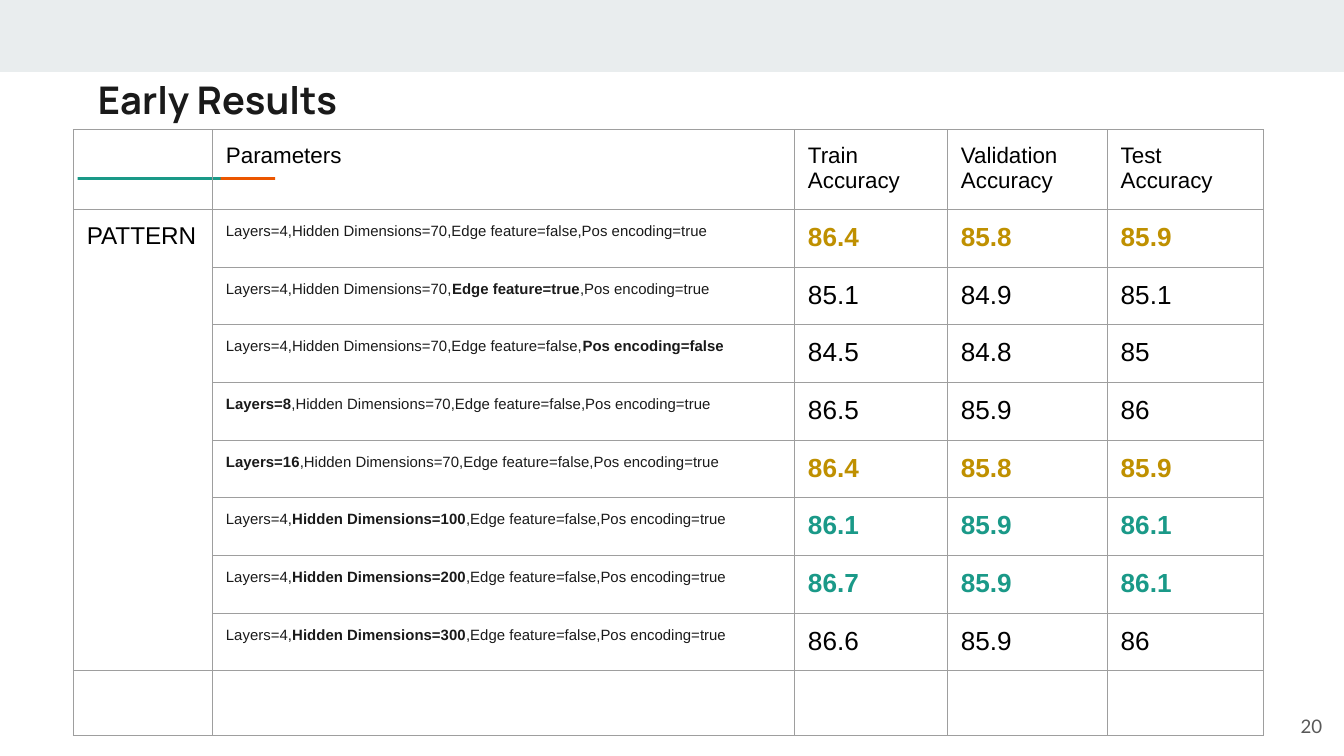
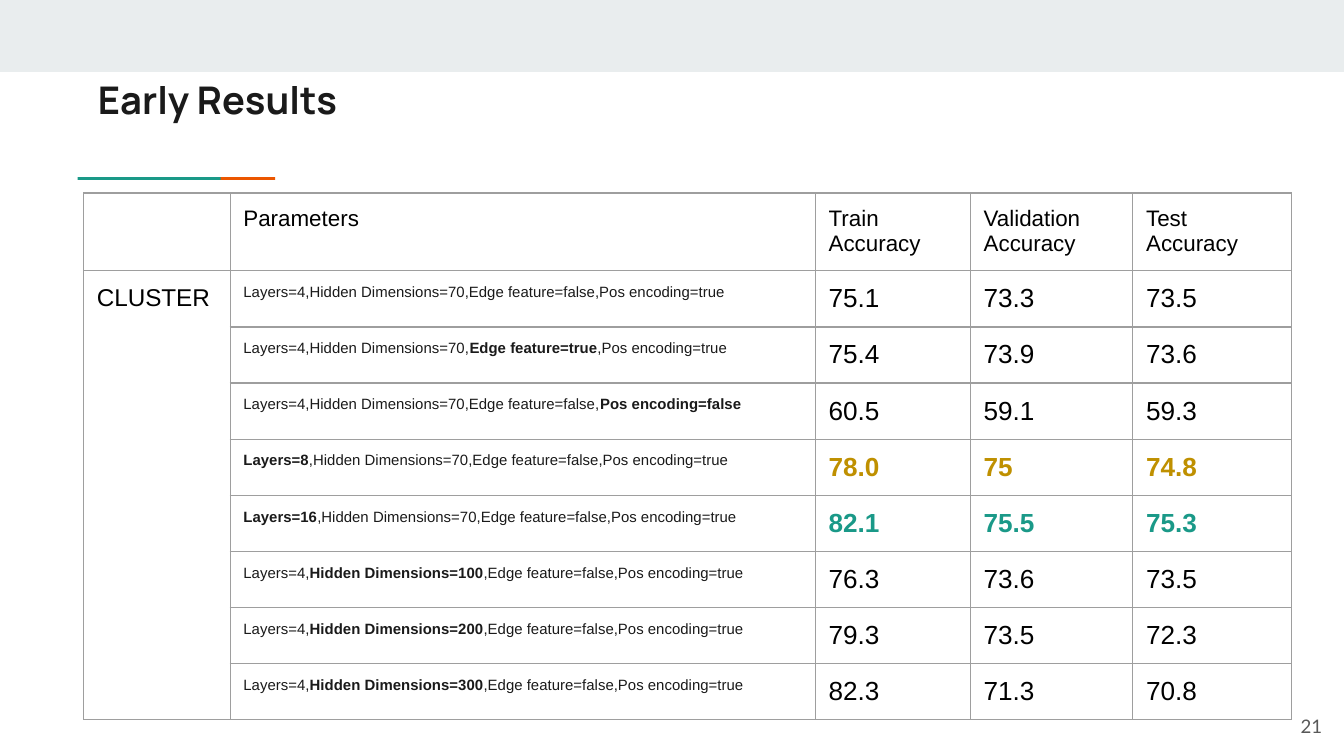
from dataclasses import dataclass

from lxml import etree
from pptx import Presentation
from pptx.dml.color import RGBColor
from pptx.enum.shapes import MSO_SHAPE
from pptx.enum.text import MSO_ANCHOR, MSO_AUTO_SIZE, PP_ALIGN
from pptx.oxml.ns import qn
from pptx.util import Cm, Pt

RECTANGLE = MSO_SHAPE.RECTANGLE
TOP, MIDDLE = MSO_ANCHOR.TOP, MSO_ANCHOR.MIDDLE
LEFT, RIGHT = PP_ALIGN.LEFT, PP_ALIGN.RIGHT
NO_AUTOFIT = MSO_AUTO_SIZE.NONE


@dataclass(frozen=True)
class Theme:
    band: str = "E9EDEE"
    teal: str = "1A9988"
    orange: str = "EB5600"
    gold: str = "BF9000"
    ink: str = "1A1A1A"
    black: str = "000000"
    grey: str = "595959"
    border: str = "9E9E9E"
    title_font: str = "Manrope"
    table_font: str = "Arial"
    number_font: str = "Lato"
    title_size: float = 20.4
    heading_size: float = 12
    dataset_size: float = 13
    setting_size: float = 8
    score_size: float = 14
    number_size: float = 10
    border_width: float = 0.75
    inset: float = 0.25


@dataclass(frozen=True)
class Box:
    left: float
    top: float
    width: float
    height: float

    def lengths(self):
        return Cm(self.left), Cm(self.top), Cm(self.width), Cm(self.height)


@dataclass(frozen=True)
class Results:
    dataset: str
    page_number: int
    left: float
    top: float
    column_widths: tuple
    header_height: float
    row_height: float
    scores: tuple
    best: tuple
    second: tuple
    spare_row_height: float = 0


THEME = Theme()
PAGE_WIDTH, PAGE_HEIGHT = 25.4, 14.29
BAND_BOX = Box(0, 0, PAGE_WIDTH, 1.36)
ACCENT_BOX = Box(1.47, 3.35, 3.73, 0.05)
ACCENT_BAR_WIDTH = 2.7
TITLE_BOX = Box(1.6, 1.2, 21.36, 1.5)
NUMBER_BOX = Box(23.72, 13.18, 1.52, 1.09)

HEADINGS = ("", "Parameters", "Train Accuracy", "Validation\nAccuracy", "Test Accuracy")
BASE_SETTINGS = {
    "Layers": "4",
    "Hidden Dimensions": "70",
    "Edge feature": "false",
    "Pos encoding": "true",
}
# The one setting that each trial changes from the base
TRIALS = (
    (None, None),
    ("Edge feature", "true"),
    ("Pos encoding", "false"),
    ("Layers", "8"),
    ("Layers", "16"),
    ("Hidden Dimensions", "100"),
    ("Hidden Dimensions", "200"),
    ("Hidden Dimensions", "300"),
)

PATTERN = Results(
    dataset="PATTERN", page_number=20, left=1.39, top=2.45,
    column_widths=(2.63, 11, 2.89, 3.02, 2.95),
    header_height=1.51, row_height=1.09, spare_row_height=1.22,
    scores=(
        ("86.4", "85.8", "85.9"),
        ("85.1", "84.9", "85.1"),
        ("84.5", "84.8", "85"),
        ("86.5", "85.9", "86"),
        ("86.4", "85.8", "85.9"),
        ("86.1", "85.9", "86.1"),
        ("86.7", "85.9", "86.1"),
        ("86.6", "85.9", "86"),
    ),
    best=(5, 6), second=(0, 4),
)
CLUSTER = Results(
    dataset="CLUSTER", page_number=21, left=1.58, top=3.65,
    column_widths=(2.77, 11.06, 2.93, 3.07, 3),
    header_height=1.47, row_height=1.06,
    scores=(
        ("75.1", "73.3", "73.5"),
        ("75.4", "73.9", "73.6"),
        ("60.5", "59.1", "59.3"),
        ("78.0", "75", "74.8"),
        ("82.1", "75.5", "75.3"),
        ("76.3", "73.6", "73.5"),
        ("79.3", "73.5", "72.3"),
        ("82.3", "71.3", "70.8"),
    ),
    best=(4,), second=(3,),
)


def style_font(font, name, size, color, bold=False):
    font.name = name
    font.size = Pt(size)
    font.bold = bold
    font.color.rgb = RGBColor.from_string(color)


def set_insets(holder):
    """Give a text frame or a table cell the same margin on all sides."""
    for side in ("left", "top", "right", "bottom"):
        setattr(holder, f"margin_{side}", Cm(THEME.inset))


def add_bar(page, box, color):
    bar = page.shapes.add_shape(RECTANGLE, *box.lengths())
    bar.shadow.inherit = False
    bar.fill.solid()
    bar.fill.fore_color.rgb = RGBColor.from_string(color)
    bar.line.fill.background()
    return bar


def add_accent(page, box):
    """Draw the line under the title: a teal bar that overlaps an orange one."""
    orange_left = box.left + box.width - ACCENT_BAR_WIDTH
    return [
        add_bar(page, Box(left, box.top, ACCENT_BAR_WIDTH, box.height), color)
        for left, color in ((orange_left, THEME.orange), (box.left, THEME.teal))
    ]


def decorate_layout(layout, page):
    """Draw the shared bars on a page and move them behind the layout's title."""
    for placeholder in list(layout.placeholders):
        if placeholder.placeholder_format.idx != 0:
            layout.shapes.element.remove(placeholder.element)
    bars = [add_bar(page, BAND_BOX, THEME.band), *add_accent(page, ACCENT_BOX)]
    for position, bar in enumerate(bars, start=2):
        layout.shapes.element.insert(position, bar.element)


def fill_title(page, box, text):
    title = page.shapes.title
    title.left, title.top, title.width, title.height = box.lengths()
    frame = title.text_frame
    frame.text = text
    frame.word_wrap = True
    frame.auto_size = NO_AUTOFIT
    frame.vertical_anchor = TOP
    set_insets(frame)
    para = frame.paragraphs[0]
    para.alignment = LEFT
    style_font(para.runs[0].font, THEME.title_font, THEME.title_size, THEME.ink, True)


def add_page_number(page, box, number):
    frame = page.shapes.add_textbox(*box.lengths()).text_frame
    frame.word_wrap = True
    frame.vertical_anchor = MIDDLE
    set_insets(frame)
    frame.text = str(number)
    para = frame.paragraphs[0]
    para.alignment = RIGHT
    style_font(para.runs[0].font, THEME.number_font, THEME.number_size, THEME.grey)


def outline_cell(cell):
    properties = cell._tc.get_or_add_tcPr()
    for position, side in enumerate(("lnL", "lnR", "lnT", "lnB")):
        line = etree.Element(qn(f"a:{side}"), w=str(Pt(THEME.border_width)))
        fill = etree.SubElement(line, qn("a:solidFill"))
        etree.SubElement(fill, qn("a:srgbClr"), val=THEME.border)
        properties.insert(position, line)


def set_empty_cell_font(cell):
    """Name the font of a cell without text, as it decides the row's least height."""
    para = cell.text_frame.paragraphs[0]
    ending = etree.SubElement(para._p, qn("a:endParaRPr"))
    etree.SubElement(ending, qn("a:latin"), typeface=THEME.table_font)


def write_cell(cell, text, size, color=THEME.black, bold=False):
    cell.text_frame.text = text
    for para in cell.text_frame.paragraphs:
        for span in para.runs:
            style_font(span.font, THEME.table_font, size, color, bold)


def write_settings(cell, changed, value):
    """List a trial's settings, with the changed one in bold."""
    settings = dict(BASE_SETTINGS)
    if changed:
        settings[changed] = value
    text = ",".join(f"{name}={setting}" for name, setting in settings.items())
    parts = text.partition(f"{changed}={value}")
    para = cell.text_frame.paragraphs[0]
    for position, part in enumerate(parts):
        if part:
            span = para.add_run()
            span.text = part
            style_font(span.font, THEME.table_font, THEME.setting_size,
                       THEME.ink, position == 1)


def add_results_table(page, results):
    heights = [results.header_height] + [results.row_height] * len(TRIALS)
    if results.spare_row_height:
        heights.append(results.spare_row_height)
    box = Box(results.left, results.top, sum(results.column_widths), sum(heights))
    table = page.shapes.add_table(len(heights), len(HEADINGS), *box.lengths()).table
    table.first_row = False
    table.horz_banding = False
    for column, width in zip(table.columns, results.column_widths):
        column.width = Cm(width)
    for row, height in zip(table.rows, heights):
        row.height = Cm(height)
    for cell in table.iter_cells():
        cell.fill.background()
        set_insets(cell)
        outline_cell(cell)

    for column, heading in enumerate(HEADINGS):
        write_cell(table.cell(0, column), heading, THEME.heading_size)
    table.cell(1, 0).merge(table.cell(len(TRIALS), 0))
    write_cell(table.cell(1, 0), results.dataset, THEME.dataset_size)

    colors = {trial: THEME.teal for trial in results.best}
    colors.update({trial: THEME.gold for trial in results.second})
    for trial, (change, scores) in enumerate(zip(TRIALS, results.scores)):
        write_settings(table.cell(trial + 1, 1), *change)
        for column, score in enumerate(scores, start=2):
            write_cell(table.cell(trial + 1, column), score, THEME.score_size,
                       colors.get(trial, THEME.black), trial in colors)

    for cell in table.iter_cells():
        if not cell.text_frame.text:
            set_empty_cell_font(cell)


def fill_results_page(page, results):
    fill_title(page, TITLE_BOX, "Early Results")
    add_results_table(page, results)
    add_page_number(page, NUMBER_BOX, results.page_number)


def main():
    deck = Presentation()
    deck.slide_width, deck.slide_height = Cm(PAGE_WIDTH), Cm(PAGE_HEIGHT)
    layout = deck.slide_layouts.get_by_name("Title Only")
    pages = [deck.slides.add_slide(layout) for _ in range(2)]
    decorate_layout(layout, pages[0])
    for page, results in zip(pages, (PATTERN, CLUSTER)):
        fill_results_page(page, results)
    deck.save("out.pptx")


if __name__ == "__main__":
    main()
